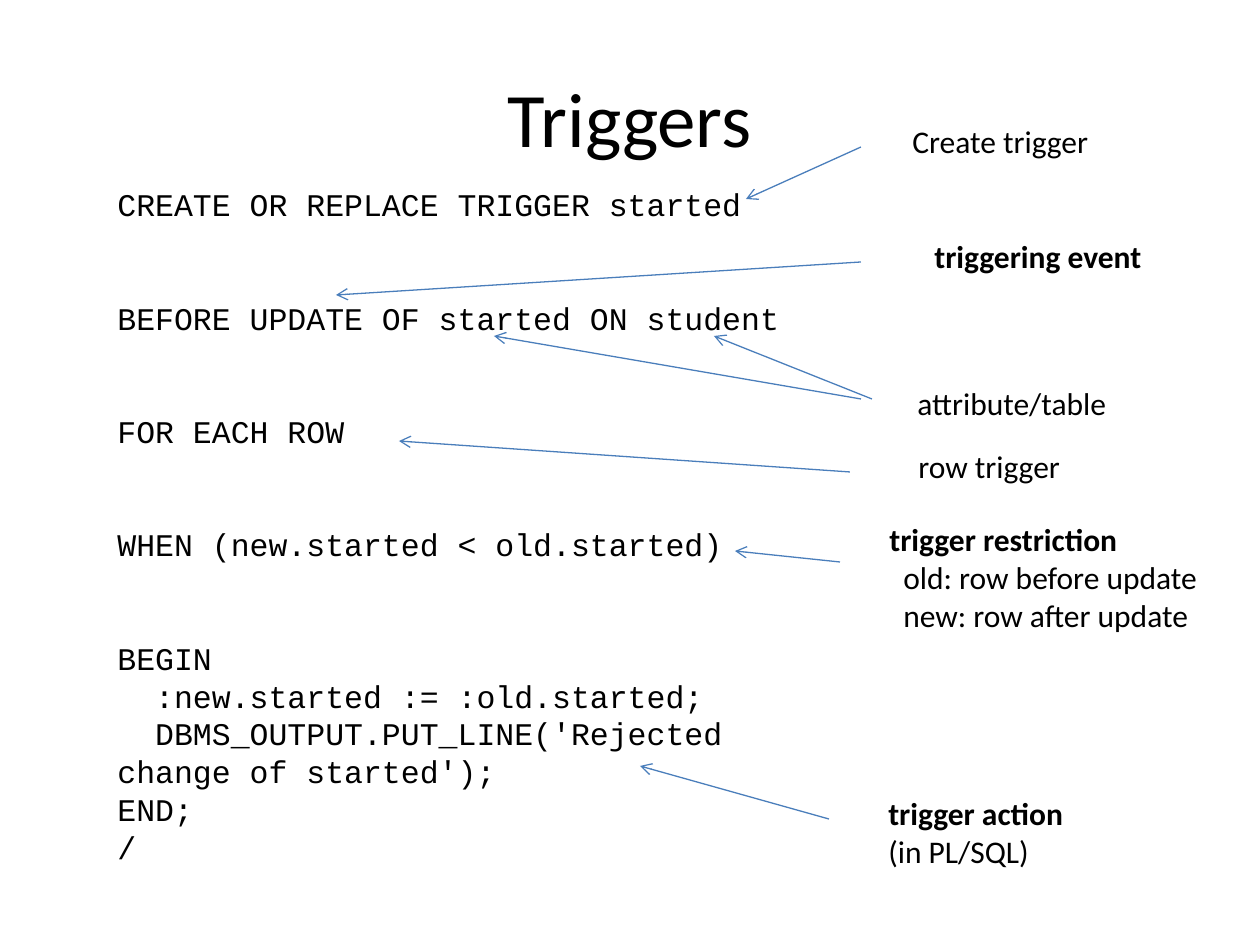
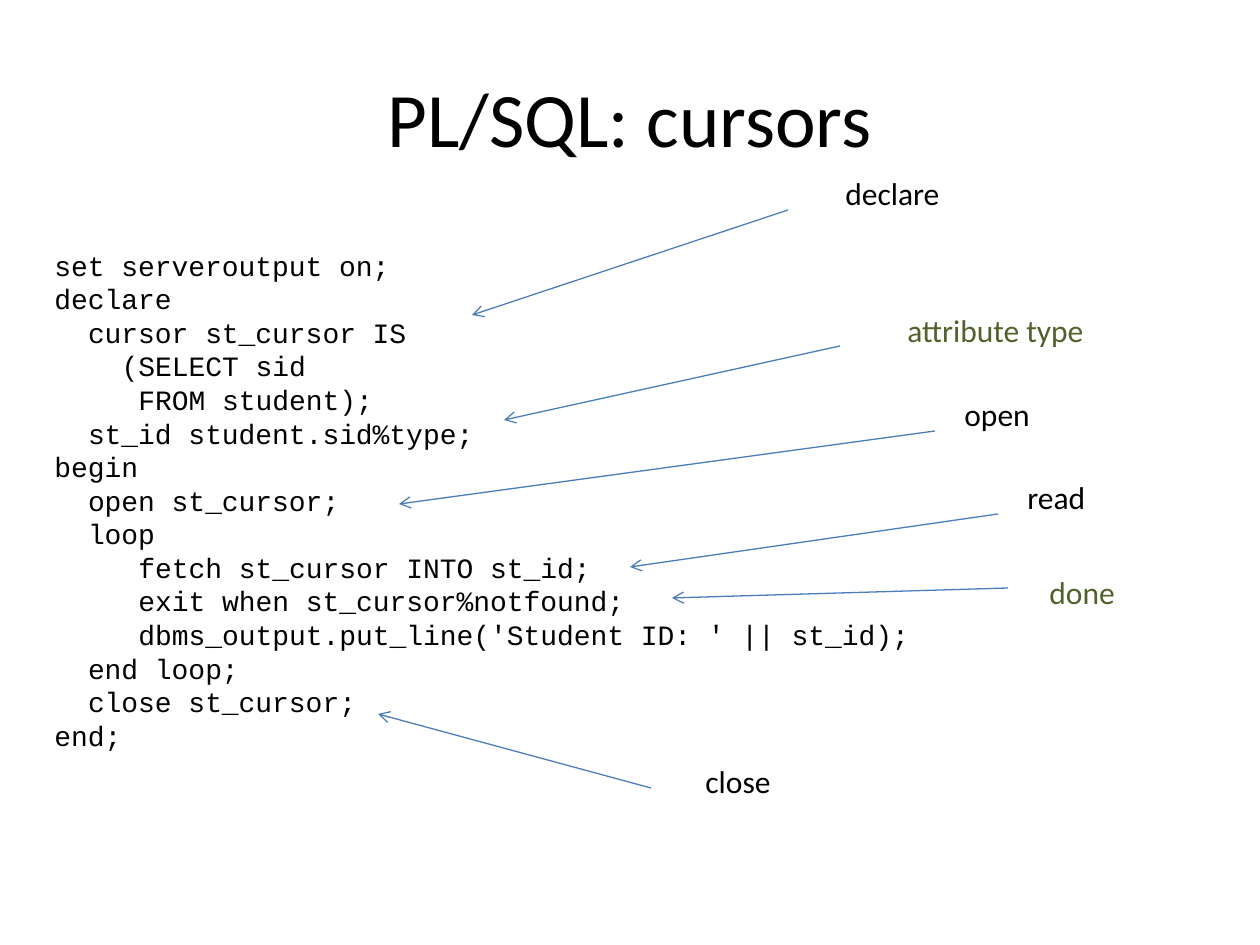
import dataclasses

import pptx
import pptx.dml.color
import pptx.enum.shapes
import pptx.enum.text
import pptx.util
from lxml import etree
from pptx.oxml.ns import qn

PAGE = (0, 0, 1260, 945)
TITLE_BOX = (63, 38, 1134, 158)
LABEL_LINE = 38
LABEL_PADDING = 12


def px(length):
    return pptx.util.Emu(round(length * 914400 / 126))


def color(code):
    return pptx.dml.color.RGBColor.from_string(code)


@dataclasses.dataclass(frozen=True)
class Theme:
    ink: str = "000000"
    green: str = "4F6228"
    arrow: str = "4A7EBB"
    text_font: str = "Calibri"
    code_font: str = "Courier New"
    title_size: int = 44
    label_size: int = 18
    arrow_width: float = 0.75
    code_leading: float = 1.2
    code_advance: float = 0.6


THEME = Theme()


@dataclasses.dataclass
class CodeLine:
    text: str
    indent: int = 0  # characters
    gap: int = 0  # lines left free above


@dataclasses.dataclass
class Label:
    lines: list
    left: int
    top: int
    width: int
    arrows: list  # each (from x, from y, to x, to y)
    ink: str = THEME.ink
    bold_first: bool = False
    indent: int = 0  # px, for the lines below the first


# Shared parts
def add_text_box(page, box, wrap=True):
    frame = page.shapes.add_textbox(*map(px, box)).text_frame
    frame.word_wrap = wrap
    return frame


def add_para(frame, index, text, font, size, ink=THEME.ink):
    para = frame.add_paragraph() if index else frame.paragraphs[0]
    para.text = text
    para.font.name = font
    para.font.size = pptx.util.Pt(size)
    para.font.color.rgb = color(ink)
    return para


def set_first_line_indent(para, length):
    properties = para._p.get_or_add_pPr()
    properties.set("marL", "0")
    properties.set("indent", str(int(length)))


def add_title(page, box, text):
    frame = add_text_box(page, box)
    frame.vertical_anchor = pptx.enum.text.MSO_ANCHOR.MIDDLE
    para = add_para(frame, 0, text, THEME.text_font, THEME.title_size)
    para.alignment = pptx.enum.text.PP_ALIGN.CENTER


def add_code(page, box, lines, size):
    frame = add_text_box(page, box)
    leading = size * THEME.code_leading
    for index, line in enumerate(lines):
        para = add_para(frame, index, line.text, THEME.code_font, size)
        para.line_spacing = pptx.util.Pt(leading)
        para.space_before = pptx.util.Pt(line.gap * leading)
        set_first_line_indent(
            para, pptx.util.Pt(line.indent * size * THEME.code_advance))


def add_arrow(page, origin, ends):
    left, top = origin
    x1, y1, x2, y2 = ends
    arrow = page.shapes.add_connector(
        pptx.enum.shapes.MSO_CONNECTOR.STRAIGHT,
        px(left + x1), px(top + y1), px(left + x2), px(top + y2))
    arrow.line.color.rgb = color(THEME.arrow)
    arrow.line.width = pptx.util.Pt(THEME.arrow_width)
    tail = etree.SubElement(arrow.line._get_or_add_ln(), qn("a:tailEnd"))
    tail.set("type", "arrow")
    etree.SubElement(arrow._element.spPr, qn("a:effectLst"))


def add_label(page, origin, label):
    left, top = origin
    height = LABEL_PADDING + LABEL_LINE * len(label.lines)
    box = (left + label.left, top + label.top, label.width, height)
    frame = add_text_box(page, box, wrap=False)
    frame.auto_size = pptx.enum.text.MSO_AUTO_SIZE.SHAPE_TO_FIT_TEXT
    for index, text in enumerate(label.lines):
        para = add_para(frame, index, text, THEME.text_font,
                        THEME.label_size, label.ink)
        para.font.bold = label.bold_first and index == 0
        if index and label.indent:
            set_first_line_indent(para, px(label.indent))
    for ends in label.arrows:
        add_arrow(page, origin, ends)


# One page: title, code listing and labels pointing into it
def add_code_page(deck, box, title, code_box, code_size, code, labels):
    page = deck.slides.add_slide(deck.slide_layouts[6])
    left, top = origin = box[:2]

    def place(part):
        return (left + part[0], top + part[1], *part[2:])

    add_title(page, place(TITLE_BOX), title)
    add_code(page, place(code_box), code, code_size)
    for label in labels:
        add_label(page, origin, label)


TRIGGER_CODE = [
    CodeLine("CREATE OR REPLACE TRIGGER started"),
    CodeLine("BEFORE UPDATE OF started ON student", gap=2),
    CodeLine("FOR EACH ROW", gap=2),
    CodeLine("WHEN (new.started < old.started)", gap=2),
    CodeLine("BEGIN", gap=2),
    CodeLine(":new.started := :old.started;", indent=2),
    CodeLine("DBMS_OUTPUT.PUT_LINE('Rejected change of started');", indent=2),
    CodeLine("END;"),
    CodeLine("/"),
]

TRIGGER_LABELS = [
    Label(["Create trigger"], 900, 116, 202, [(861, 147, 746, 199)]),
    Label(["triggering event"], 922, 231, 233, [(861, 262, 336, 295)],
          bold_first=True),
    Label(["attribute/table"], 905, 378, 214,
          [(861, 399, 494, 336), (872, 399, 714, 336)]),
    Label(["row trigger"], 906, 441, 168, [(850, 472, 399, 441)]),
    Label(["trigger restriction", "old: row before update",
           "new: row after update"], 877, 514, 335, [(840, 562, 735, 551)],
          bold_first=True, indent=14),
    Label(["trigger action", "(in PL/SQL)"], 876, 788, 200,
          [(829, 819, 640, 766)], bold_first=True),
]

CURSOR_CODE = [
    CodeLine("set serveroutput on;"),
    CodeLine("declare"),
    CodeLine("cursor st_cursor IS", indent=2),
    CodeLine("(SELECT sid", indent=4),
    CodeLine("FROM student);", indent=5),
    CodeLine("st_id student.sid%type;", indent=2),
    CodeLine("begin"),
    CodeLine("open st_cursor;", indent=2),
    CodeLine("loop", indent=2),
    CodeLine("fetch st_cursor INTO st_id;", indent=5),
    CodeLine("exit when st_cursor%notfound;", indent=5),
    CodeLine("dbms_output.put_line('Student ID: ' || st_id);", indent=5),
    CodeLine("end loop;", indent=2),
    CodeLine("close st_cursor;", indent=2),
    CodeLine("end;"),
]

CURSOR_LABELS = [
    Label(["declare"], 833, 168, 120, [(788, 210, 472, 315)]),
    Label(["open"], 952, 389, 93, [(935, 431, 399, 504)]),
    Label(["close"], 693, 756, 93, [(651, 788, 378, 714)]),
    Label(["read"], 1015, 472, 85, [(998, 514, 630, 567)]),
    Label(["attribute type"], 895, 305, 203, [(840, 346, 504, 420)],
          ink=THEME.green),
    Label(["done"], 1037, 567, 93, [(1008, 588, 672, 598)], ink=THEME.green),
]


def main():
    deck = pptx.Presentation()
    deck.slide_width, deck.slide_height = map(px, PAGE[2:])
    add_code_page(deck, PAGE, "Triggers", (105, 179, 756, 693), 18,
                  TRIGGER_CODE, TRIGGER_LABELS)
    add_code_page(deck, PAGE, "PL/SQL: cursors", (42, 242, 924, 517), 16,
                  CURSOR_CODE, CURSOR_LABELS)
    deck.save("out.pptx")


if __name__ == "__main__":
    main()
